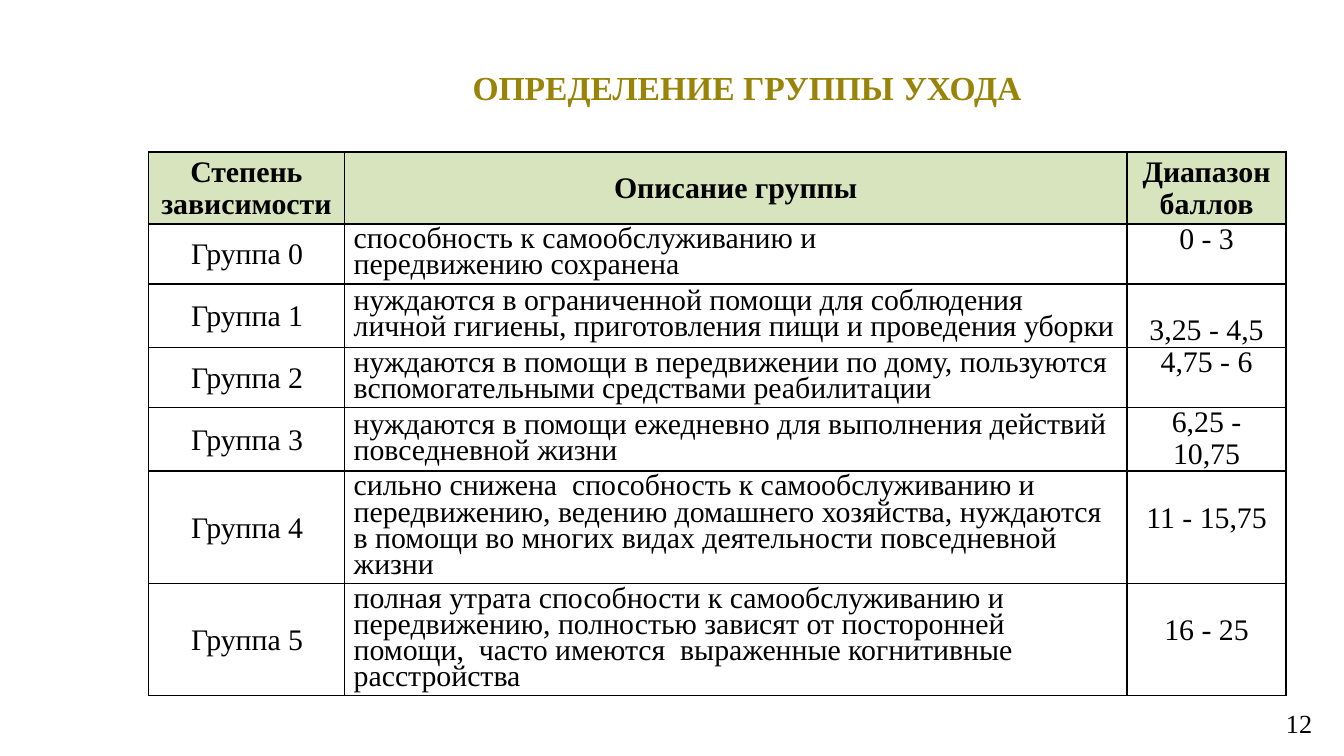
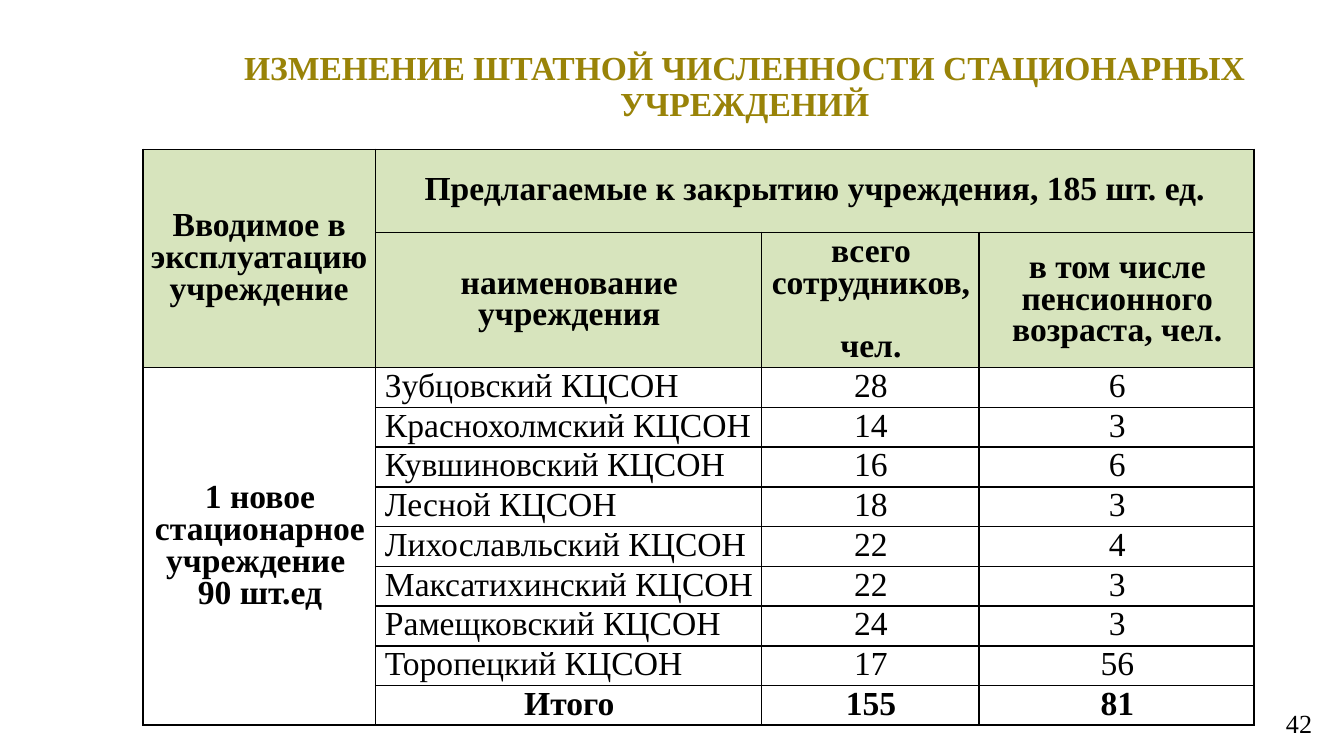
import pptx
import pptx.util
import pptx.dml.color
import pptx.enum.text
import pptx.oxml
import pptx.oxml.ns

Pt = pptx.util.Pt
RGBColor = pptx.dml.color.RGBColor
PP_ALIGN = pptx.enum.text.PP_ALIGN
ANCHOR = pptx.enum.text.MSO_ANCHOR

FONT = "Times New Roman"
GOLD = RGBColor(0x99, 0x83, 0x08)
GREEN = RGBColor(0xD7, 0xE4, 0xBD)
BLACK = RGBColor(0, 0, 0)

# Content: care groups (degree, description, score range, range offset in lines)
CARE_TITLE = "ОПРЕДЕЛЕНИЕ ГРУППЫ УХОДА"
CARE_HEADER = ["Степень зависимости", "Описание группы", "Диапазон баллов"]
CARE_GROUPS = [
    ("Группа 0", "способность к самообслуживанию и\vпередвижению сохранена", "0 - 3", 0),
    ("Группа 1", "нуждаются в ограниченной помощи для соблюдения личной гигиены, "
     "приготовления пищи и проведения уборки", "3,25 - 4,5", 1),
    ("Группа 2", "нуждаются в помощи в передвижении по дому, пользуются "
     "вспомогательными средствами реабилитации", "4,75 - 6", 0),
    ("Группа 3", "нуждаются в помощи ежедневно для выполнения действий "
     "повседневной жизни", "6,25 - 10,75", 0),
    ("Группа 4", "сильно снижена  способность к самообслуживанию и передвижению, "
     "ведению домашнего хозяйства, нуждаются в помощи во многих видах "
     "деятельности повседневной жизни", "11 - 15,75", 1),
    ("Группа 5", "полная утрата способности к самообслуживанию и передвижению, "
     "полностью зависят от посторонней помощи,  часто имеются  выраженные "
     "когнитивные расстройства", "16 - 25", 1),
]
CARE_COLS = [105, 419.25, 85.25]
CARE_ROWS = [38.5, 32, 34.25, 32, 34.25, 60, 60]

# Content: staff of the institutions (name, employees, of pension age)
STAFF_TITLE = "ИЗМЕНЕНИЕ ШТАТНОЙ ЧИСЛЕННОСТИ СТАЦИОНАРНЫХ УЧРЕЖДЕНИЙ"
STAFF_OPENING = "Вводимое в эксплуатацию учреждение"
STAFF_CLOSING = "Предлагаемые к закрытию учреждения, 185 шт. ед."
STAFF_HEADER = ["наименование учреждения", "всего сотрудников,\nчел.",
                "в том числе пенсионного возраста, чел."]
STAFF_NEW = "1 новое стационарное учреждение \n90 шт.ед"
STAFF = [
    ("Зубцовский КЦСОН", 28, 6),
    ("Краснохолмский КЦСОН", 14, 3),
    ("Кувшиновский КЦСОН", 16, 6),
    ("Лесной КЦСОН", 18, 3),
    ("Лихославльский КЦСОН", 22, 4),
    ("Максатихинский КЦСОН", 22, 3),
    ("Рамещковский КЦСОН", 24, 3),
    ("Торопецкий КЦСОН", 17, 56),
    ("Итого", 155, 81),
]
STAFF_COLS = [124.75, 206.75, 116.5, 147.5]
STAFF_ROWS = [44.5, 72.5] + [21.3] * len(STAFF)

LINE = 17                      # line pitch of table text
WIDE = (5, 2.7, 4.2, 1.3)      # cell margins: left, top, right, bottom
NARROW = (0, 2.7, 0, 1.3)


def style(p, size, bold=False, color=BLACK, align=PP_ALIGN.CENTER, line=None):
    p.font.name, p.font.size, p.font.bold = FONT, Pt(size), bold
    p.font.color.rgb = color
    p.alignment = align
    if line:
        p.line_spacing = Pt(line)


def add_slide(prs, title, box, line, number):
    s = prs.slides.add_slide(prs.slide_layouts[5])
    # Title
    sp = s.shapes.title
    sp.left, sp.top, sp.width, sp.height = map(Pt, box)
    tf = sp.text_frame
    tf.text = title
    tf.auto_size = pptx.enum.text.MSO_AUTO_SIZE.NONE
    tf.vertical_anchor = ANCHOR.MIDDLE
    style(tf.paragraphs[0], 18, True, GOLD, line=line)
    # Page number
    tf = s.shapes.add_textbox(Pt(479), Pt(373), Pt(231), Pt(29)).text_frame
    tf.word_wrap = True
    tf.vertical_anchor = ANCHOR.MIDDLE
    tf.text = str(number)
    style(tf.paragraphs[0], 14, align=PP_ALIGN.RIGHT)
    return s


def add_grid(s, left, top, cols, rows):
    sp = s.shapes.add_table(len(rows), len(cols), Pt(left), Pt(top),
                            Pt(sum(cols)), Pt(sum(rows)))
    table = sp.table
    table.first_row = table.horz_banding = False
    for column, width in zip(table.columns, cols):
        column.width = Pt(width)
    for row, height in zip(table.rows, rows):
        row.height = Pt(height)
    for cell in table.iter_cells():
        tcPr = cell._tc.get_or_add_tcPr()
        for side in ("lnL", "lnR", "lnT", "lnB"):
            tcPr.append(pptx.oxml.parse_xml(
                f'<a:{side} {pptx.oxml.ns.nsdecls("a")} w="12700"><a:solidFill>'
                f'<a:srgbClr val="{BLACK}"/></a:solidFill></a:{side}>'))
        cell.fill.background()
    return table


def fill_cell(cell, text, size, bold=False, align=PP_ALIGN.CENTER, line=LINE,
              fill=None, margins=WIDE, anchor=ANCHOR.MIDDLE):
    cell.text = str(text)
    (cell.margin_left, cell.margin_top,
     cell.margin_right, cell.margin_bottom) = map(Pt, margins)
    cell.vertical_anchor = anchor
    if fill is not None:
        cell.fill.solid()
        cell.fill.fore_color.rgb = fill
    for p in cell.text_frame.paragraphs:
        style(p, size, bold, align=align, line=line)


def build_care_slide(prs):
    s = add_slide(prs, CARE_TITLE, (80.5, 26.5, 639.5, 42), 19.5, 12)
    table = add_grid(s, 79.5, 81.5, CARE_COLS, CARE_ROWS)
    for c, text in enumerate(CARE_HEADER):
        fill_cell(table.cell(0, c), text, 16, True, fill=GREEN, margins=NARROW)
    for r, (group, description, score, offset) in enumerate(CARE_GROUPS, 1):
        fill_cell(table.cell(r, 0), group, 16)
        fill_cell(table.cell(r, 1), description, 16, align=PP_ALIGN.LEFT, line=14)
        fill_cell(table.cell(r, 2), score, 16, anchor=ANCHOR.TOP,
                  margins=(5, offset * LINE, 5, 0))


def build_staff_slide(prs):
    s = add_slide(prs, STAFF_TITLE, (78, 16, 642, 62), 19, 42)
    table = add_grid(s, 76.5, 80, STAFF_COLS, STAFF_ROWS)
    last = len(STAFF_ROWS) - 1
    # Merged cells
    table.cell(0, 0).merge(table.cell(1, 0))
    table.cell(0, 1).merge(table.cell(0, 3))
    table.cell(2, 0).merge(table.cell(last, 0))
    for c, text in enumerate([STAFF_OPENING, STAFF_CLOSING]):
        fill_cell(table.cell(0, c), text, 18, True, fill=GREEN, margins=NARROW)
    fill_cell(table.cell(2, 0), STAFF_NEW, 18, True)
    # Column heads
    for c, text in enumerate(STAFF_HEADER, 1):
        fill_cell(table.cell(1, c), text, 18, True, fill=GREEN)
    table.cell(1, 2).text_frame.paragraphs[1].space_before = Pt(LINE)
    # Institutions and total
    for r, record in enumerate(STAFF, 2):
        total = r == last
        for c, value in enumerate(record, 1):
            name = c == 1 and not total
            fill_cell(table.cell(r, c), value, 18, total,
                      align=PP_ALIGN.LEFT if name else PP_ALIGN.CENTER)


def main():
    prs = pptx.Presentation()
    prs.slide_width, prs.slide_height = Pt(720), Pt(405)
    build_care_slide(prs)
    build_staff_slide(prs)
    prs.save("out.pptx")


if __name__ == "__main__":
    main()
